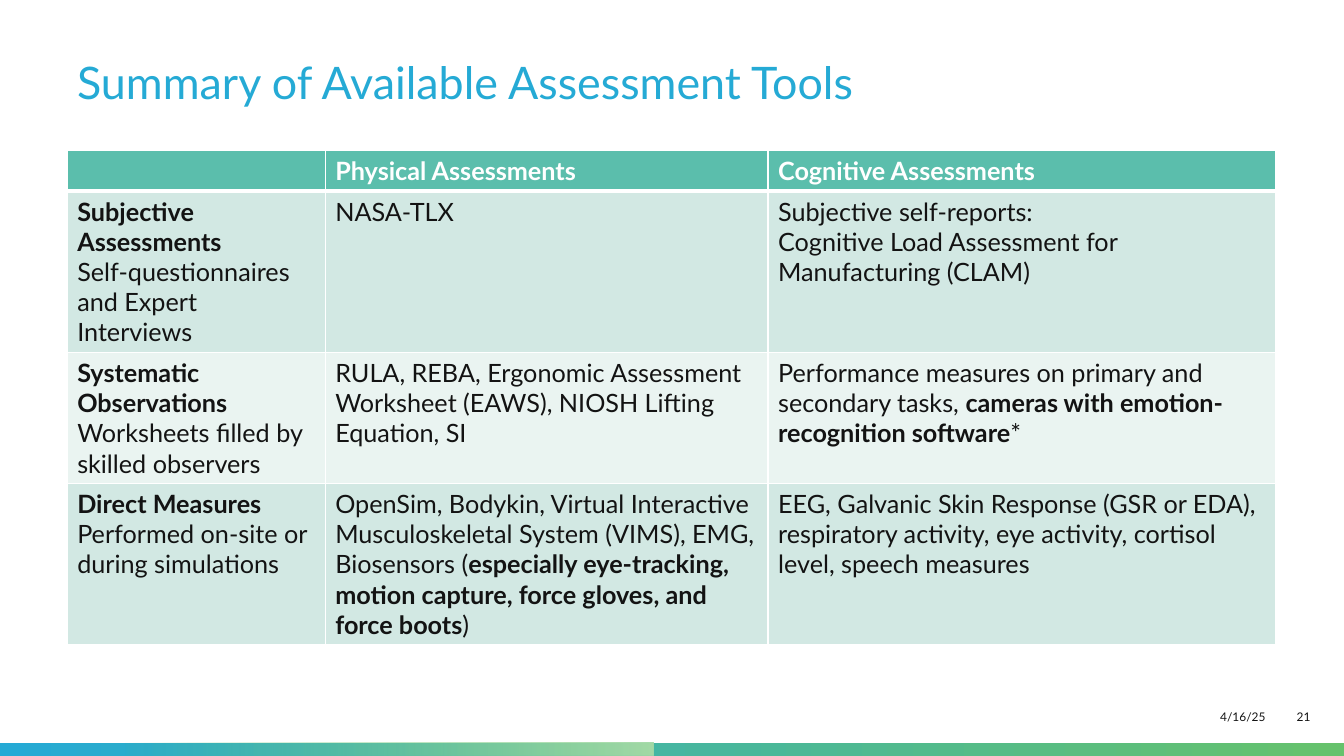
from dataclasses import dataclass
from typing import NamedTuple, Optional

from lxml.etree import SubElement
from pptx import Presentation
from pptx.dml.color import RGBColor
from pptx.enum.shapes import MSO_SHAPE as Preset
from pptx.enum.text import MSO_ANCHOR as Anchor, PP_ALIGN as Align
from pptx.oxml.ns import qn
from pptx.util import Emu, Inches, Pt

SLIDE_W, SLIDE_H = Inches(13.33), Inches(7.5)
GRID_COLS, GRID_ROWS = 200, 150


@dataclass(frozen=True)
class Theme:
    font: str = "Lato"
    ink: str = "131313"
    white: str = "FFFFFF"
    blue: str = "25AAD5"
    green: str = "66C26C"
    pale_green: str = "A3DAA7"
    header: str = "5BBEAC"
    bands: tuple[str, str] = ("D2E8E3", "EAF4F1")
    title_size: float = 32
    table_size: float = 18
    footer_size: float = 8.5
    rule: float = 1
    header_rule: float = 3


THEME = Theme()


class Area(NamedTuple):
    """Left, top, width and height in grid columns and rows."""
    col: float
    row: float
    cols: float
    rows: float


class Stop(NamedTuple):
    position: float
    color: str
    opacity: Optional[int] = None


class Bar(NamedTuple):
    area: Area
    stops: tuple[Stop, Stop]


class Label(NamedTuple):
    area: Area
    text: str
    size: float
    color: str
    align: Align
    anchor: Anchor
    spacing: float


BARS = (
    Bar(Area(0, 147.4, 200, 2.6), (Stop(0, THEME.blue), Stop(1, THEME.green))),
    Bar(Area(0, 147.4, 97.3, 2.6),
        (Stop(0.19, THEME.green, 0), Stop(1, THEME.pale_green))),
)
LABELS = (
    Label(Area(138.3, 138.2, 51.5, 8), "4/16/25", THEME.footer_size, THEME.ink,
          Align.RIGHT, Anchor.MIDDLE, 1),
    Label(Area(188.4, 138.2, 8.1, 8), "21", THEME.footer_size, THEME.ink,
          Align.RIGHT, Anchor.MIDDLE, 1),
    Label(Area(10, 11, 179.9, 15.8), "Summary of Available Assessment Tools",
          THEME.title_size, THEME.blue, Align.LEFT, Anchor.TOP, 0.9),
)

TABLE_COL, TABLE_ROW = 10, 29.8
COLUMN_SPANS = (38.4, 65.9, 75.5)
ROW_SPANS = (8, 32, 26, 32)
# Text between bars is bold; each line is a paragraph.
TOOLS = (
    ("", "|Physical Assessments|", "|Cognitive Assessments|"),
    ("|Subjective Assessments|\nSelf-questionnaires and Expert Interviews",
     "NASA-TLX",
     "Subjective self-reports:\n"
     "Cognitive Load Assessment for Manufacturing (CLAM)"),
    ("|Systematic Observations|\nWorksheets filled by skilled observers",
     "RULA, REBA, Ergonomic Assessment Worksheet (EAWS), "
     "NIOSH Lifting Equation, SI",
     "Performance measures on primary and secondary tasks, "
     "|cameras with emotion-recognition software|*"),
    ("|Direct Measures|\nPerformed on-site or during simulations",
     "OpenSim, Bodykin, Virtual Interactive Musculoskeletal System (VIMS), "
     "EMG, Biosensors (|especially eye-tracking, motion capture, "
     "force gloves, and force boots|)",
     "EEG, Galvanic Skin Response (GSR or EDA), respiratory activity, "
     "eye activity, cortisol level, speech measures"),
)


def across(cols: float) -> Emu:
    return Emu(round(SLIDE_W * cols / GRID_COLS))


def down(rows: float) -> Emu:
    return Emu(round(SLIDE_H * rows / GRID_ROWS))


def place(area: Area) -> tuple[Emu, Emu, Emu, Emu]:
    return across(area.col), down(area.row), across(area.cols), down(area.rows)


def write(frame, text: str, size: float, color: str) -> None:
    """Fill a text frame, turning marked parts into bold runs."""
    for number, line in enumerate(text.split("\n")):
        paragraph = frame.add_paragraph() if number else frame.paragraphs[0]
        paragraph.font.size = Pt(size)
        for part_number, part in enumerate(line.split("|")):
            if not part:
                continue
            run = paragraph.add_run()
            run.text = part
            run.font.color.rgb = RGBColor.from_string(color)
            look = {"name": THEME.font, "size": Pt(size),
                    "bold": part_number % 2 == 1}
            for key, value in look.items():
                setattr(run.font, key, value)


def draw_bar(slide, bar: Bar) -> None:
    strip = slide.shapes.add_shape(Preset.RECTANGLE, *place(bar.area))
    strip.shadow.inherit = False
    strip.line.fill.background()
    strip.fill.gradient()
    strip.fill.gradient_angle = 0
    for slot, stop in zip(strip.fill.gradient_stops, bar.stops):
        slot.position = stop.position
        slot.color.rgb = RGBColor.from_string(stop.color)
    colors = strip._element.spPr.iter(qn("a:srgbClr"))
    for color, stop in zip(colors, bar.stops):
        if stop.opacity is not None:
            SubElement(color, qn("a:alpha"), val=str(stop.opacity * 1000))


def draw_label(slide, label: Label) -> None:
    frame = slide.shapes.add_textbox(*place(label.area)).text_frame
    for key, value in {"word_wrap": True,
                       "vertical_anchor": label.anchor}.items():
        setattr(frame, key, value)
    write(frame, label.text, label.size, label.color)
    for key, value in {"alignment": label.align,
                       "line_spacing": label.spacing}.items():
        setattr(frame.paragraphs[0], key, value)


def rule_cell(cell, top: float, bottom: float) -> None:
    """Add white borders; must come before the cell's fill."""
    widths = {"a:lnL": THEME.rule, "a:lnR": THEME.rule,
              "a:lnT": top, "a:lnB": bottom}
    properties = cell._tc.get_or_add_tcPr()
    for side, width in widths.items():
        line = SubElement(properties, qn(side), w=str(Pt(width)))
        fill = SubElement(line, qn("a:solidFill"))
        SubElement(fill, qn("a:srgbClr"), val=THEME.white)


def draw_tools(slide) -> None:
    area = Area(TABLE_COL, TABLE_ROW, sum(COLUMN_SPANS), sum(ROW_SPANS))
    table = slide.shapes.add_table(
        len(ROW_SPANS), len(COLUMN_SPANS), *place(area)).table
    for column, span in zip(table.columns, COLUMN_SPANS):
        column.width = across(span)
    for row_number, (row, span) in enumerate(zip(table.rows, ROW_SPANS)):
        row.height = down(span)
        is_header = row_number == 0
        band = THEME.header if is_header else THEME.bands[(row_number - 1) % 2]
        ink = THEME.white if is_header else THEME.ink
        top = THEME.header_rule if row_number == 1 else THEME.rule
        bottom = THEME.header_rule if is_header else THEME.rule
        for cell, text in zip(row.cells, TOOLS[row_number]):
            rule_cell(cell, top, bottom)
            cell.fill.solid()
            cell.fill.fore_color.rgb = RGBColor.from_string(band)
            write(cell.text_frame, text, THEME.table_size, ink)


def main() -> None:
    deck = Presentation()
    deck.slide_width, deck.slide_height = SLIDE_W, SLIDE_H
    slide = deck.slides.add_slide(deck.slide_layouts[6])
    for bar in BARS:
        draw_bar(slide, bar)
    draw_tools(slide)
    for label in LABELS:
        draw_label(slide, label)
    deck.save("out.pptx")


if __name__ == "__main__":
    main()
